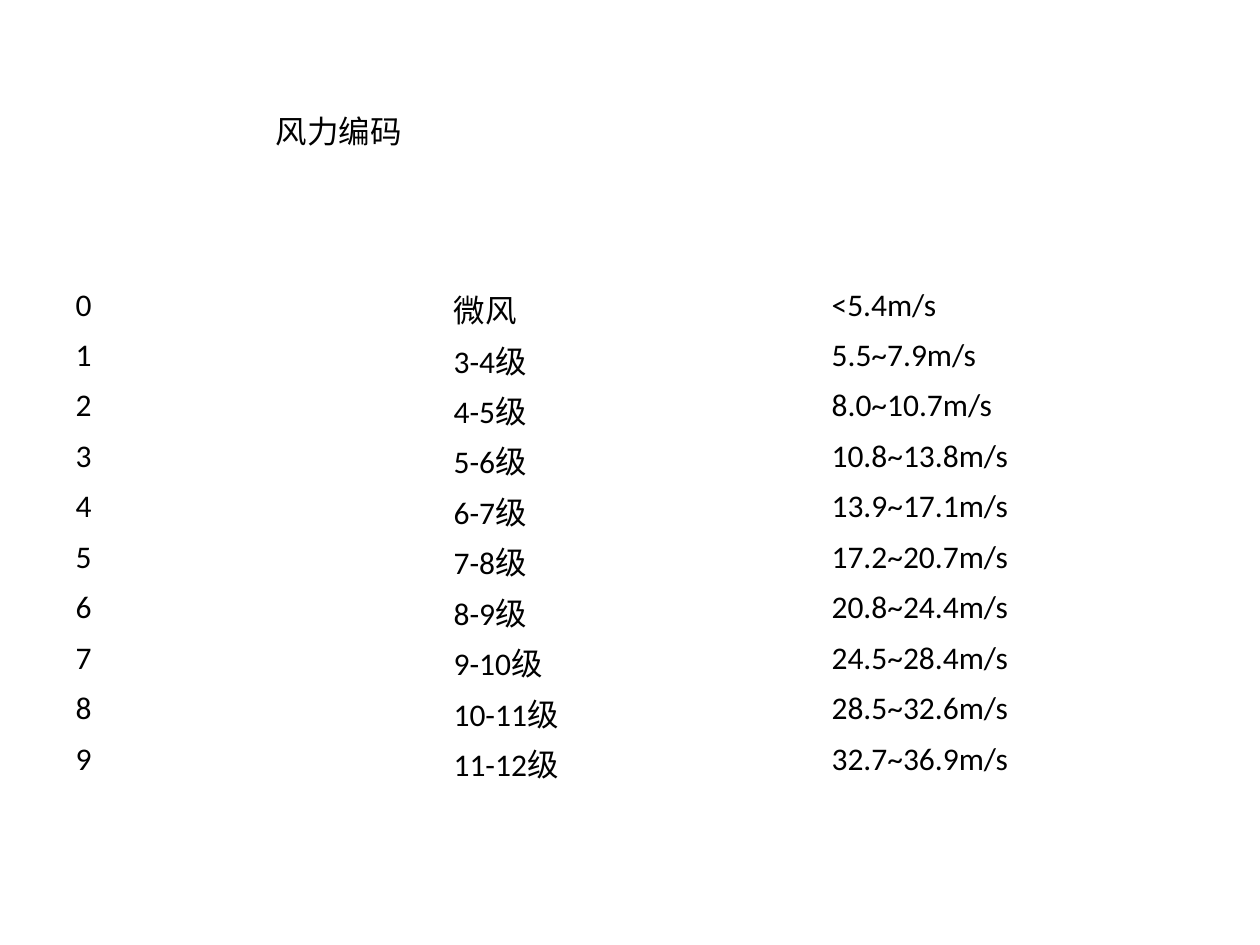
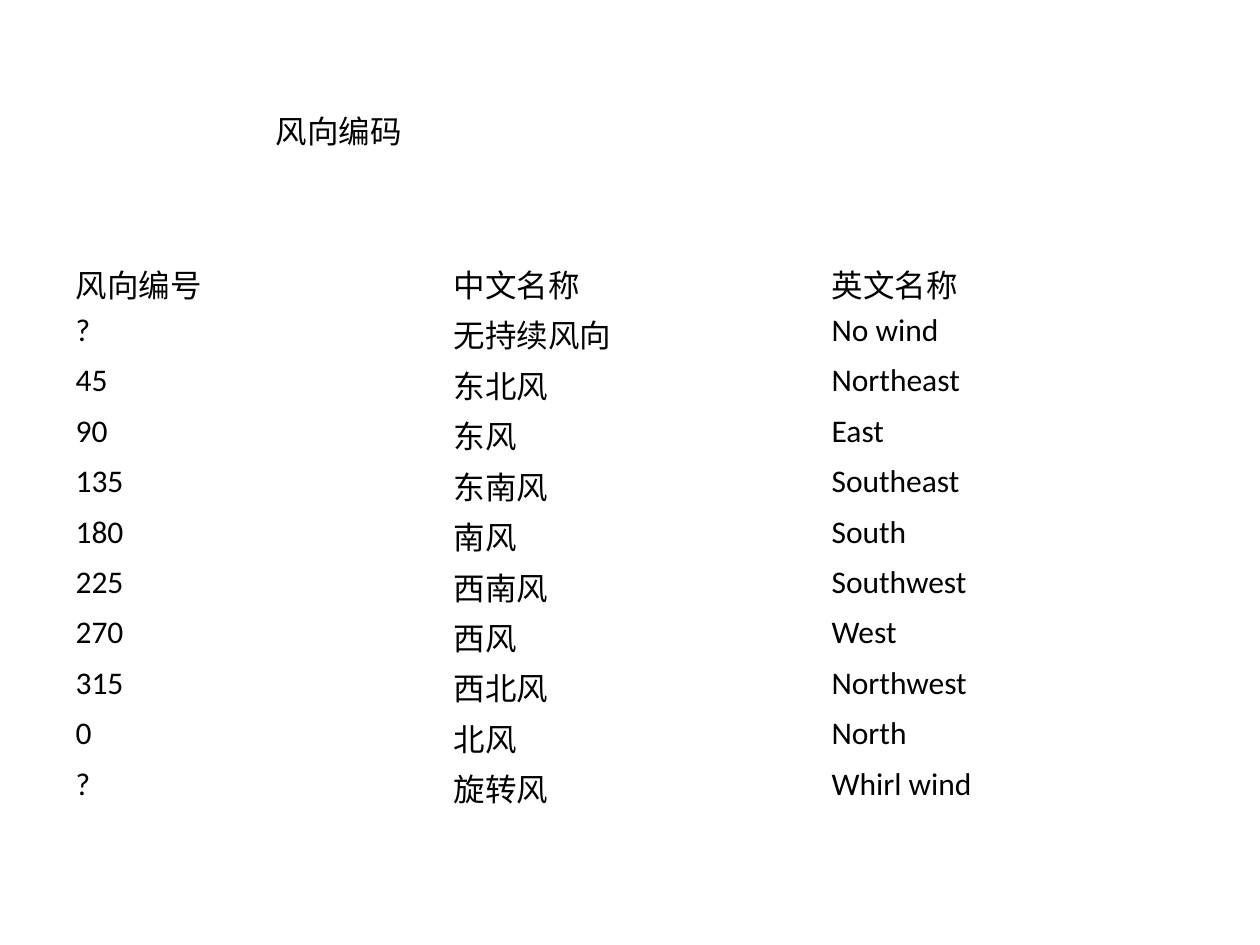
"""Builds two slides of wind code tables: force and direction."""
from pptx import Presentation
from pptx.dml.color import RGBColor as Rgb
from pptx.enum.text import MSO_ANCHOR as Anchor, MSO_AUTO_SIZE as Fit
from pptx.util import Inches, Pt

HUES = {"text": "000000", "back": "FFFFFF"}
FONT, SIZE = "Calibri", 18
LEFT, WIDTH, ROW, MIDDLE = 0.5, 9, 0.4, 4.22

FORCE = [
    ("0", "微风", "<5.4m/s"),
    ("1", "3-4级", "5.5~7.9m/s"),
    ("2", "4-5级", "8.0~10.7m/s"),
    ("3", "5-6级", "10.8~13.8m/s"),
    ("4", "6-7级", "13.9~17.1m/s"),
    ("5", "7-8级", "17.2~20.7m/s"),
    ("6", "8-9级", "20.8~24.4m/s"),
    ("7", "9-10级", "24.5~28.4m/s"),
    ("8", "10-11级", "28.5~32.6m/s"),
    ("9", "11-12级", "32.7~36.9m/s"),
]
COURSE = [
    ("风向编号", "中文名称", "英文名称"),
    ("?", "无持续风向", "No wind"),
    ("45", "东北风", "Northeast"),
    ("90", "东风", "East"),
    ("135", "东南风", "Southeast"),
    ("180", "南风", "South"),
    ("225", "西南风", "Southwest"),
    ("270", "西风", "West"),
    ("315", "西北风", "Northwest"),
    ("0", "北风", "North"),
    ("?", "旋转风", "Whirl wind"),
]
PAGES = [("风力编码", FORCE), ("风向编码", COURSE)]


def write(frame, text):
    frame.text = text
    for run in frame.paragraphs[0].runs:
        run.font.name, run.font.size = FONT, Pt(SIZE)
        run.font.color.rgb = Rgb.from_string(HUES["text"])


def add_title(slide, text):
    box = slide.shapes.add_textbox(Inches(2.09), Inches(0.84), Inches(7.09), Inches(0.4))
    frame = box.text_frame
    frame.word_wrap, frame.auto_size = True, Fit.SHAPE_TO_FIT_TEXT
    write(frame, text)


def add_codes(slide, rows):
    high = ROW * len(rows)
    grid = slide.shapes.add_table(
        len(rows), len(rows[0]), Inches(LEFT), Inches(MIDDLE - high / 2),
        Inches(WIDTH), Inches(high)).table
    grid.first_row = grid.horz_banding = False
    for r, row in enumerate(rows):
        for c, text in enumerate(row):
            cell = grid.cell(r, c)
            cell.fill.background()
            cell.vertical_anchor = Anchor.MIDDLE
            write(cell.text_frame, text)


deck = Presentation()
deck.slide_width, deck.slide_height = Inches(10), Inches(7.5)
for title, rows in PAGES:
    slide = deck.slides.add_slide(deck.slide_layouts[6])
    slide.background.fill.solid()
    slide.background.fill.fore_color.rgb = Rgb.from_string(HUES["back"])
    add_title(slide, title)
    add_codes(slide, rows)
deck.save("out.pptx")
